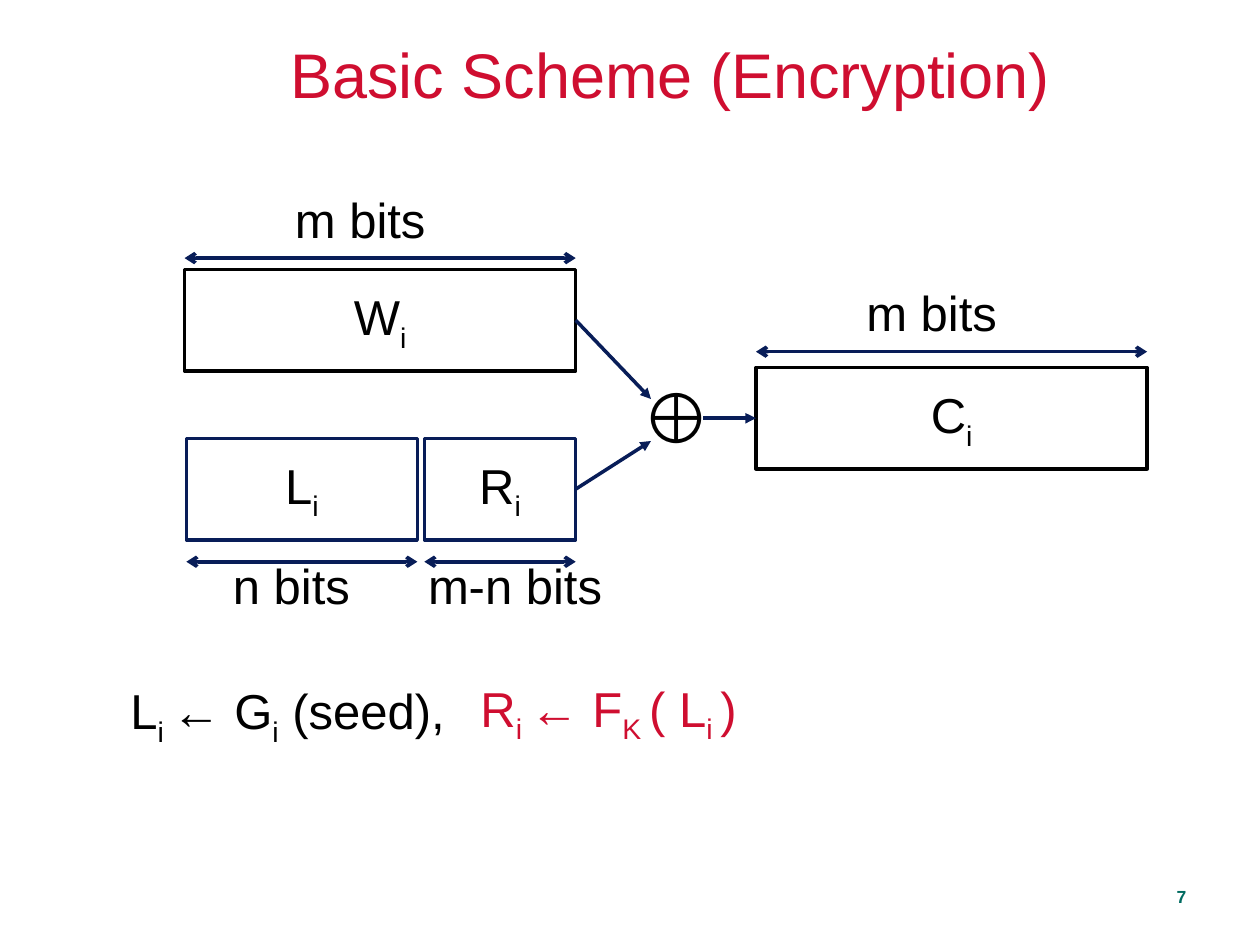
from pptx import Presentation
from pptx.dml.color import RGBColor
from pptx.enum import shapes, text
from pptx.oxml.ns import qn
from pptx.util import Pt
from lxml import etree

RED = RGBColor(0xCF, 0x0E, 0x30)
NAVY = RGBColor(0x08, 0x1D, 0x58)
TEAL = RGBColor(0x00, 0x6B, 0x61)
BLACK = RGBColor(0, 0, 0)
WHITE = RGBColor(255, 255, 255)
LEFT, MID, RIGHT = text.PP_ALIGN.LEFT, text.PP_ALIGN.CENTER, text.PP_ALIGN.RIGHT

deck = Presentation()
deck.slide_width, deck.slide_height = Pt(720), Pt(540)
slide = deck.slides.add_slide(deck.slide_layouts[5])


def write(shape, words, size=28, color=BLACK, align=LEFT, wrap=False, bold=False):
    """Write words into a shape; every second part between bars is a subscript."""
    frame = shape.text_frame
    frame.word_wrap = wrap
    para = frame.paragraphs[0]
    para.alignment = align
    for k, part in enumerate(words.split("|")):
        if not part:
            continue
        run = para.add_run()
        run.text = part
        look = {"name": "Arial", "size": Pt(size), "bold": bold}
        for key, value in look.items():
            setattr(run.font, key, value)
        run.font.color.rgb = color
        if k % 2:
            run.font._element.set("baseline", "-25000")
    return para


def arrow(x1, y1, x2, y2, **ends):
    """Draw a navy line with the given arrowheads."""
    line = slide.shapes.add_connector(
        shapes.MSO_CONNECTOR.STRAIGHT, Pt(x1), Pt(y1), Pt(x2), Pt(y2))
    line.line.color.rgb = NAVY
    line.line.width = Pt(2)
    pen = line.line._get_or_add_ln()
    for end, kind in ends.items():
        etree.SubElement(pen, qn(f"a:{end}"), type=kind)
    etree.SubElement(line._element.spPr, qn("a:effectLst"))
    return line


# Title
title = slide.shapes.title
place = {"left": 89, "top": 18, "width": 588, "height": 54}
for key, value in place.items():
    setattr(title, key, Pt(value))
title.text_frame.vertical_anchor = text.MSO_ANCHOR.MIDDLE
write(title, "Basic Scheme (Encryption)", 36, RED, MID, True).line_spacing = 0.88

# Blocks, each with the line that measures its width
block = {}
for name, x, y, wide, color, gauge in (
    ("W", 105.5, 154, 223.5, BLACK, 147.5),
    ("L", 106.5, 250.5, 132, NAVY, 321),
    ("R", 242.5, 250.5, 86.5, NAVY, 321),
    ("C", 432, 210, 223.5, BLACK, 201),
):
    box = slide.shapes.add_shape(
        shapes.MSO_SHAPE.RECTANGLE, Pt(x), Pt(y), Pt(wide), Pt(58))
    box.shadow.inherit = False
    box.fill.solid()
    box.fill.fore_color.rgb = WHITE
    box.line.color.rgb = color
    box.line.width = Pt(2)
    box.text_frame.vertical_anchor = text.MSO_ANCHOR.MIDDLE
    write(box, f"{name}|i", align=MID)
    arrow(x, gauge, x + wide, gauge, headEnd="arrow", tailEnd="arrow")
    block[name] = box

# Arrows into and out of the XOR sign
for name, y, tip in (("W", 183, 228), ("R", 279.5, 252)):
    arrow(329, y, 372, tip, tailEnd="triangle").begin_connect(block[name], 3)
arrow(402, 239, 432, 239, tailEnd="triangle").end_connect(block["C"], 1)

# Labels, XOR sign and formulas
for words, x, y, wide, high, size, color in (
    ("m bits", 161.5, 105, 94, 41, 28, BLACK),
    ("m bits", 488, 158, 94, 41, 28, BLACK),
    ("n bits", 126, 314, 86, 41, 28, BLACK),
    ("m-n bits", 237.5, 314, 118, 41, 28, BLACK),
    ("⊕", 359.5, 210, 46, 55.5, 40, BLACK),
    ("L|i |← G|i| (seed),", 67.5, 385.5, 200, 45.5, 28, BLACK),
    ("R|i |← F|K |( L|i |)", 267.5, 384, 236, 45.5, 28, RED),
):
    label = slide.shapes.add_textbox(Pt(x), Pt(y), Pt(wide), Pt(high))
    write(label, words, size, color)

# Page number
page = slide.shapes.add_textbox(Pt(546), Pt(504), Pt(139), Pt(18))
write(page, "7", 10, TEAL, RIGHT, True, True).line_spacing = 0.9

deck.save("out.pptx")
